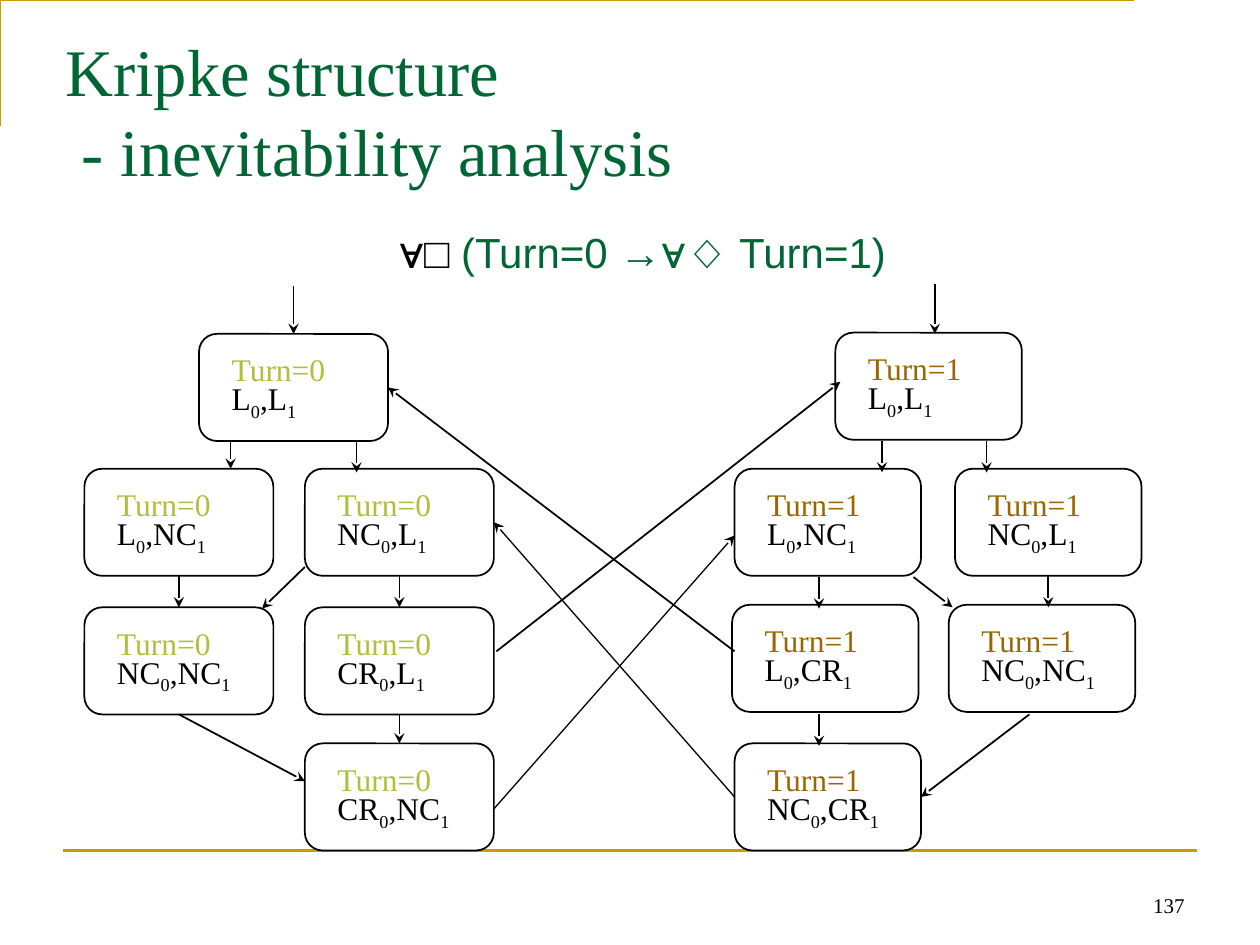
from dataclasses import dataclass
from math import hypot

from lxml.etree import SubElement
from pptx import Presentation
from pptx.dml.color import RGBColor
from pptx.enum.shapes import MSO_CONNECTOR, MSO_SHAPE
from pptx.enum.text import MSO_ANCHOR, PP_ALIGN
from pptx.oxml.ns import qn
from pptx.util import Inches, Pt


@dataclass(frozen=True)
class Theme:
    black: str = "000000"
    white: str = "FFFFFF"
    gold: str = "CC9900"
    green: str = "006633"
    turns: tuple = ("AFBF39", "996600")
    serif: str = "Times New Roman"
    sans: str = "Arial"
    title: float = 38
    rule: float = 24
    label: float = 18
    page: float = 12


@dataclass(frozen=True)
class State:
    turn: int
    name: str
    left: float
    top: float

    @property
    def width(self) -> float:
        return 1.48 if self.turn else 1.5

    def sides(self) -> list:
        """Middles of the sides: top, left, bottom, right."""
        mid, half = self.left + self.width / 2, self.top + HIGH / 2
        return [(mid, self.top), (self.left, half),
                (mid, self.top + HIGH), (self.left + self.width, half)]


@dataclass(frozen=True)
class Arrow:
    start: tuple
    end: tuple
    weight: float = 1


THEME = Theme()
HIGH = 0.85
NEAR = 0.05

STATES = [
    State(0, "L0,L1", 1.58, 2.65),
    State(0, "L0,NC1", 0.67, 3.72),
    State(0, "NC0,L1", 2.42, 3.72),
    State(0, "NC0,NC1", 0.67, 4.82),
    State(0, "CR0,L1", 2.42, 4.82),
    State(0, "CR0,NC1", 2.42, 5.9),
    State(1, "L0,L1", 6.63, 2.64),
    State(1, "L0,NC1", 5.83, 3.72),
    State(1, "NC0,L1", 7.58, 3.72),
    State(1, "L0,CR1", 5.81, 4.8),
    State(1, "NC0,NC1", 7.53, 4.8),
    State(1, "NC0,CR1", 5.83, 5.9),
]

ARROWS = [
    # Entry points
    Arrow((2.33, 2.27), (2.33, 2.65)),
    Arrow((7.42, 2.25), (7.42, 2.65)),
    # Steps with turn 0
    Arrow((1.83, 3.5), (1.83, 3.72)),
    Arrow((2.83, 3.5), (2.83, 3.75)),
    Arrow((1.42, 4.58), (1.42, 4.83)),
    Arrow((3.17, 4.58), (3.17, 4.83)),
    Arrow((2.42, 4.5), (2.08, 4.83)),
    Arrow((1.42, 5.67), (2.42, 6.2)),
    Arrow((3.17, 5.67), (3.17, 5.92)),
    # Steps with turn 1
    Arrow((7, 3.5), (7, 3.75)),
    Arrow((7.83, 3.5), (7.83, 3.75)),
    Arrow((6.5, 4.58), (6.5, 4.83)),
    Arrow((8.32, 4.59), (8.32, 4.82)),
    Arrow((7.25, 4.58), (7.56, 4.82)),
    Arrow((6.5, 5.67), (6.5, 5.92)),
    Arrow((8.17, 5.67), (7.33, 6.33)),
    # Changes of turn
    Arrow((5.83, 5.17), (3.09, 3.03)),
    Arrow((3.94, 5.17), (6.67, 3.03)),
    Arrow((3.92, 6.42), (5.83, 4.25), 0.75),
    Arrow((5.83, 6.33), (3.92, 4.17), 0.75),
]


def paint(font, size: float, face: str, color: str) -> None:
    font.size, font.name = Pt(size), face
    font.color.rgb = RGBColor.from_string(color)


def add_box(slide, left: float, top: float, width: float, height: float):
    box = slide.shapes.add_textbox(*map(Inches, (left, top, width, height)))
    box.text_frame.word_wrap = True
    return box.text_frame


def add_line(slide, start: tuple, end: tuple, color: str, weight: float):
    line = slide.shapes.add_connector(
        MSO_CONNECTOR.STRAIGHT, *map(Inches, start + end))
    line.line.color.rgb = RGBColor.from_string(color)
    line.line.width = Pt(weight)
    SubElement(line._element.spPr, qn("a:effectLst"))
    return line


def draw_frame(slide) -> None:
    path = slide.shapes.build_freeform(0.42, 0.92, scale=Inches(1))
    path.add_line_segments([(0.42, 0.25), (9.42, 0.25)], close=False)
    edge = path.convert_to_shape()
    edge.shadow.inherit = False
    edge.fill.background()
    edge.line.color.rgb = RGBColor.from_string(THEME.gold)
    edge.line.width = Pt(1.5)
    add_line(slide, (0.5, 6.75), (9.5, 6.75), THEME.gold, 1.5)


def draw_text(slide) -> None:
    # Title
    frame = add_box(slide, 0.42, 0.25, 7.67, 1.25)
    frame.vertical_anchor = MSO_ANCHOR.MIDDLE
    frame.text = "Kripke structure\v - inevitability analysis"
    for run in frame.paragraphs[0].runs:
        paint(run.font, THEME.title, THEME.serif, THEME.green)

    # Formula
    para = add_box(slide, 2.83, 1.75, 4.54, 0.5).paragraphs[0]
    para.alignment = PP_ALIGN.CENTER
    for text, color in (("∀□", THEME.black), (" (Turn=0 →∀", THEME.green),
                        ("◇", THEME.green), (" Turn=1)", THEME.green)):
        run = para.add_run()
        run.text = text
        run.font.bold = text == "◇"
        paint(run.font, THEME.rule, THEME.sans, color)

    # Page number
    frame = add_box(slide, 7.17, 6.83, 2.33, 0.5)
    frame.vertical_anchor = MSO_ANCHOR.BOTTOM
    frame.text = "137"
    para = frame.paragraphs[0]
    para.alignment = PP_ALIGN.RIGHT
    paint(para.runs[0].font, THEME.page, THEME.serif, THEME.black)


def draw_state(slide, state: State):
    card = slide.shapes.add_shape(
        MSO_SHAPE.ROUNDED_RECTANGLE,
        *map(Inches, (state.left, state.top, state.width, HIGH)))
    card.shadow.inherit = False
    card.fill.solid()
    card.fill.fore_color.rgb = RGBColor.from_string(THEME.white)
    card.line.color.rgb = RGBColor.from_string(THEME.black)
    card.line.width = Pt(1)

    frame = add_box(slide, state.left + 0.16, state.top + 0.08,
                    state.width - 0.25, 0.61)
    frame.text = f"Turn={state.turn}"
    paint(frame.paragraphs[0].runs[0].font, THEME.label, THEME.serif,
          THEME.turns[state.turn])
    para = frame.add_paragraph()
    para.line_spacing = 0.2
    gap = SubElement(para._p.get_or_add_pPr(), qn("a:spcBef"))
    SubElement(gap, qn("a:spcPct"), val="50000")
    first, last = state.name.split(",")
    for text in (first[:-1], first[-1], "," + last[:-1], last[-1]):
        run = para.add_run()
        run.text = text
        paint(run.font, THEME.label, THEME.serif, THEME.black)
        if text.isdigit():
            run.font._element.set("baseline", "-25000")
    return card


def draw_arrow(slide, arrow: Arrow, cards: list) -> None:
    line = add_line(slide, arrow.start, arrow.end, THEME.black, arrow.weight)
    SubElement(line.line._get_or_add_ln(), qn("a:tailEnd"), type="stealth")
    # Join the ends that meet the middle of a side
    for point, join in ((arrow.start, line.begin_connect),
                        (arrow.end, line.end_connect)):
        for state, card in zip(STATES, cards):
            for site, (x, y) in enumerate(state.sides()):
                if hypot(point[0] - x, point[1] - y) < NEAR:
                    join(card, site)


def main() -> None:
    deck = Presentation()
    deck.slide_width, deck.slide_height = Inches(10), Inches(7.5)
    slide = deck.slides.add_slide(deck.slide_layouts[6])
    draw_frame(slide)
    draw_text(slide)
    cards = [draw_state(slide, state) for state in STATES]
    for arrow in ARROWS:
        draw_arrow(slide, arrow, cards)
    deck.save("out.pptx")


if __name__ == "__main__":
    main()
